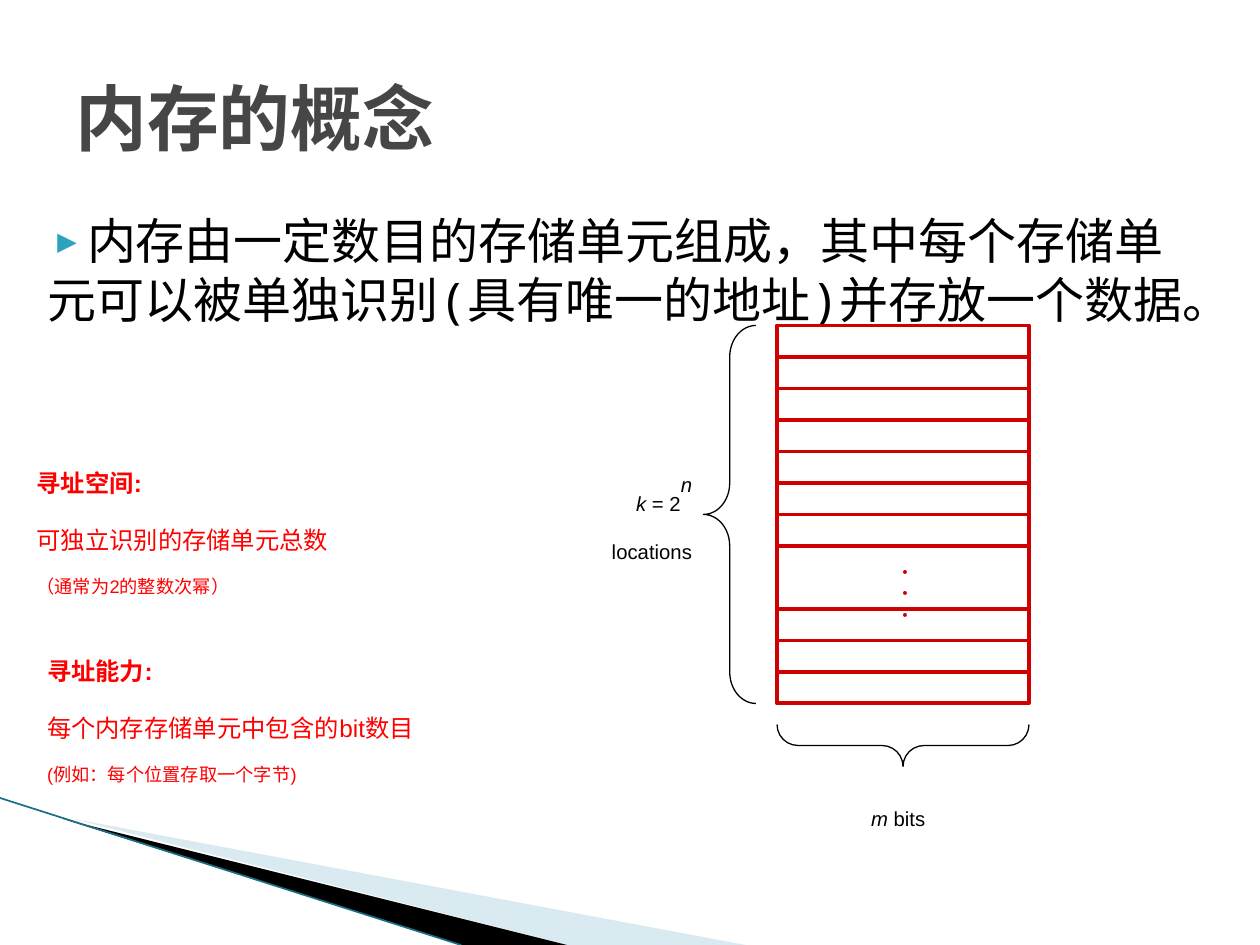
from dataclasses import dataclass

from lxml import etree
from pptx import Presentation
from pptx import util as u
from pptx.dml.color import RGBColor
from pptx.enum import shapes, text
from pptx.oxml import ns

COLUMNS, ROWS = 120, 90
CELL = u.Inches(10) // COLUMNS

BLACK = RGBColor(0, 0, 0)
GREY = RGBColor(0x46, 0x46, 0x46)
RED = RGBColor(0xFF, 0, 0)
CRIMSON = RGBColor(0xCE, 0, 0)
TEAL = RGBColor(0x1B, 0x6F, 0x83)
SKY = RGBColor(0x2D, 0xA2, 0xBF)
PALE_BLUE = RGBColor(0xD9, 0xEA, 0xF1)

LEFT, CENTER, RIGHT = text.PP_ALIGN.LEFT, text.PP_ALIGN.CENTER, text.PP_ALIGN.RIGHT
LOWERED, LEVEL, RAISED = -25000, 0, 30000


@dataclass(frozen=True)
class Area:
    """A rectangle in grid columns and rows."""
    column: float
    row: float
    width: float
    height: float

    def lengths(self) -> list[int]:
        """Return left, top, width and height in EMU."""
        return [cells(n) for n in (self.column, self.row, self.width, self.height)]


@dataclass(frozen=True)
class Span:
    """A run of text with its format; baseline is in thousandths of a percent."""
    words: str
    size: float
    bold: bool = False
    italic: bool = False
    baseline: int = LOWERED


@dataclass(frozen=True)
class Label:
    """A text box with one tuple of spans per paragraph."""
    area: Area
    lines: tuple[tuple[Span, ...], ...]
    color: RGBColor
    font: str = "Arial"
    align: text.PP_ALIGN = LEFT
    spacing: float = 1.0
    anchor: text.MSO_ANCHOR = text.MSO_ANCHOR.TOP


@dataclass(frozen=True)
class Brace:
    """A curly brace around one side of the memory."""
    kind: shapes.MSO_SHAPE
    area: Area
    curl: float
    rotation: float = 0


@dataclass(frozen=True)
class Wedge:
    """A filled corner polygon in grid points."""
    points: tuple[tuple[float, float], ...]
    color: RGBColor


MEMORY = Area(74, 31, 24, 36)
CELL_ROWS = 3
DIVIDERS = (1, 2, 3, 4, 5, 6, 7, 9, 10, 11)

WEDGES = (
    Wedge(((6.6, 78), (70.8, 90), (54.2, 90)), PALE_BLUE),
    Wedge(((6.2, 77.9), (54.3, 90), (44.1, 90)), BLACK),
)

BRACES = (
    Brace(shapes.MSO_SHAPE.LEFT_BRACE, Area(67, 31, 5, 36), 0.6),
    Brace(shapes.MSO_SHAPE.RIGHT_BRACE, Area(84, 59, 4, 24), 0.5, 90),
)

TITLE = Label(Area(6, 3.6, 108, 15), ((Span("内存的概念", 41, bold=True, baseline=LEVEL),),),
              GREY, "Noto Sans Mono", anchor=text.MSO_ANCHOR.MIDDLE)
BODY = Label(Area(3.3, 19.5, 110.6, 59.4), ((Span(
    "内存由一定数目的存储单元组成，其中每个存储单元可以被单独识别(具有唯一的地址)并存放一个数据。",
    28, baseline=LEVEL),),), BLACK, "Noto Sans Mono")
DOTS = Label(Area(84, 52, 4.4, 6.6), ((Span("•", 18, bold=True),),) * 3,
             CRIMSON, "Cabin", CENTER, 0.5)
NOTES = (
    Label(Area(51.5, 44, 15.6, 9.2), (
        (Span("k", 20, italic=True), Span(" = 2", 20),
         Span("n", 20, italic=True, baseline=RAISED)),
        (Span("locations", 20),)), BLACK, align=RIGHT),
    Label(Area(79.9, 74, 11.3, 5.2), ((Span("m", 20, italic=True), Span(" bits", 20)),),
          BLACK, align=CENTER),
    Label(Area(2.3, 41.3, 50.9, 14.5), (
        (Span("寻址空间:", 24, bold=True),),
        (Span("可独立识别的存储单元总数", 24),),
        (Span("（通常为2的整数次幂）", 18),)), RED),
    Label(Area(3.3, 59.2, 63.2, 14.5), (
        (Span("寻址能力:", 24, bold=True),),
        (Span("每个内存存储单元中包含的bit数目", 24),),
        (Span("(例如：每个位置存取一个字节)", 18),)), RED),
)


def cells(count: float) -> int:
    """Convert grid cells to EMU."""
    return round(count * CELL)


def add_label(parent, label: Label):
    """Draw a text box and return it."""
    box = parent.add_textbox(*label.area.lengths())
    frame = box.text_frame
    frame.word_wrap = True
    frame.vertical_anchor = label.anchor
    for index, spans in enumerate(label.lines):
        para = frame.add_paragraph() if index else frame.paragraphs[0]
        para.alignment = label.align
        para.line_spacing = label.spacing
        for span in spans:
            run = para.add_run()
            run.text = span.words
            run.font.name = label.font
            run.font.size = u.Pt(span.size)
            run.font.bold, run.font.italic = span.bold, span.italic
            run.font.color.rgb = label.color
            if span.baseline:
                run.font._element.set("baseline", str(span.baseline))
    return box


def add_bullet(para, mark: str, color: RGBColor, percent: int, font: str) -> None:
    """Give a paragraph a coloured bullet."""
    para.space_before = u.Pt(4)
    properties = para._p.get_or_add_pPr()
    tint = etree.SubElement(properties, ns.qn("a:buClr"))
    etree.SubElement(tint, ns.qn("a:srgbClr"), val=str(color))
    etree.SubElement(properties, ns.qn("a:buSzPct"), val=str(percent * 1000))
    etree.SubElement(properties, ns.qn("a:buFont"), typeface=font)
    etree.SubElement(properties, ns.qn("a:buChar"), char=mark)


def add_line(parent, start: tuple, end: tuple, color: RGBColor, width: float):
    """Draw a straight line between two grid points."""
    line = parent.add_connector(shapes.MSO_CONNECTOR.STRAIGHT,
                                *(cells(n) for n in (*start, *end)))
    line.line.color.rgb = color
    line.line.width = u.Pt(width)
    etree.SubElement(line._element.spPr, ns.qn("a:effectLst"))
    return line


def add_outline(parent, kind: shapes.MSO_SHAPE, area: Area, color: RGBColor, width: float):
    """Draw an unfilled preset shape."""
    shape = parent.add_shape(kind, *area.lengths())
    shape.shadow.inherit = False
    shape.fill.background()
    shape.line.color.rgb = color
    shape.line.width = u.Pt(width)
    return shape


def add_wedge(parent, wedge: Wedge) -> None:
    """Draw a filled polygon."""
    first, *rest = wedge.points
    builder = parent.build_freeform(*first, scale=CELL)
    builder.add_line_segments(rest)
    shape = builder.convert_to_shape()
    shape.shadow.inherit = False
    shape.fill.solid()
    shape.fill.fore_color.rgb = wedge.color
    shape.line.fill.background()


def add_memory(parent) -> None:
    """Draw the memory column with its dividers and dots."""
    group = parent.add_group_shape().shapes
    block = add_outline(group, shapes.MSO_SHAPE.RECTANGLE, MEMORY, CRIMSON, 2.25)
    right = MEMORY.column + MEMORY.width
    for divider in DIVIDERS:
        row = MEMORY.row + divider * CELL_ROWS
        line = add_line(group, (MEMORY.column, row), (right, row), CRIMSON, 2.25)
        if divider * CELL_ROWS * 2 == MEMORY.height:
            line.begin_connect(block, 1)
            line.end_connect(block, 3)
    add_label(group, DOTS)


def main() -> None:
    """Build and save the slide."""
    deck = Presentation()
    deck.slide_width, deck.slide_height = cells(COLUMNS), cells(ROWS)
    page = deck.slides.add_slide(deck.slide_layouts[6]).shapes
    for wedge in WEDGES:
        add_wedge(page, wedge)
    add_line(page, (0, 76), (43.9, ROWS), TEAL, 0.95)
    add_label(page, TITLE)
    body = add_label(page, BODY)
    add_bullet(body.text_frame.paragraphs[0], "▶", SKY, 68, BODY.font)
    add_memory(page)
    for brace in BRACES:
        shape = add_outline(page, brace.kind, brace.area, BLACK, 0.75)
        shape.adjustments[0] = brace.curl
        shape.rotation = brace.rotation
    for note in NOTES:
        add_label(page, note)
    deck.save("out.pptx")


if __name__ == "__main__":
    main()
